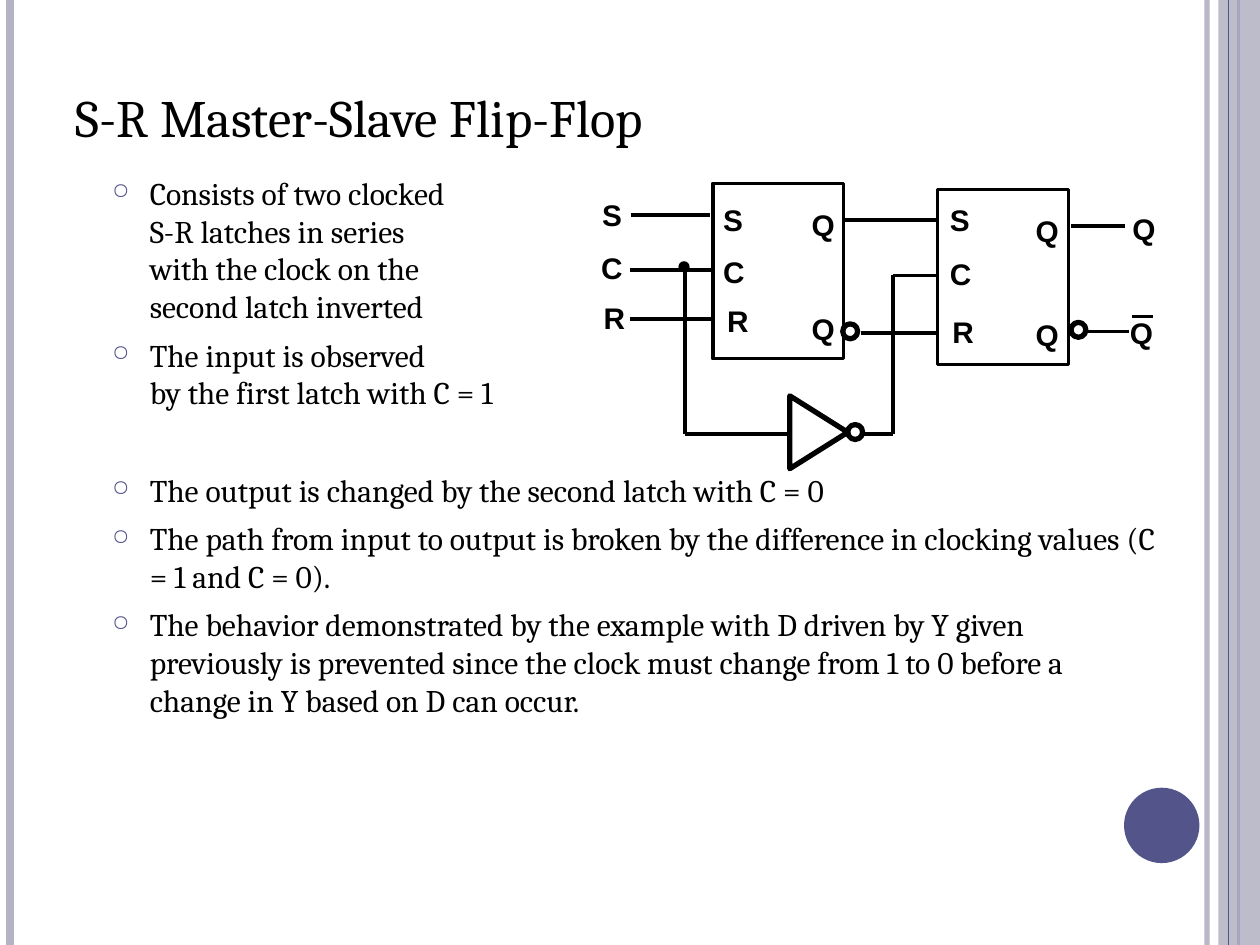
from itertools import pairwise

from lxml.etree import SubElement
from pptx import Presentation
from pptx.dml.color import RGBColor
from pptx.enum.shapes import MSO_CONNECTOR as CONN, MSO_SHAPE as SHAPE
from pptx.enum.text import MSO_ANCHOR as ANCHOR, MSO_AUTO_SIZE as FIT
from pptx.oxml.ns import qn
from pptx.util import Cm, Pt

COLORS = {"ink": "000000", "indigo": "53548A", "lavender": "B3B3C4"}

BULLETS = [
    ("Consists of two clocked\vS-R latches in series\vwith the clock on the\v"
     "second latch inverted", 6),
    ("The input is observed\vby the first latch with C = 1", 6),
    ("The output is changed by the second latch with C = 0", 34),
    ("The path from input to output is broken by the difference in clocking "
     "values (C = 1 and C = 0).", 6),
    ("The behavior demonstrated by the example with D driven by Y given "
     "previously is prevented since the clock must change from 1 to 0 before "
     "a change in Y based on D can occur.", 6),
]

LETTER_WIDTHS = {"S": 0.33, "C": 0.38, "R": 0.41, "Q": 0.48}

LABELS = {
    "S": [(12.14, 3.96), (14.58, 4.06), (19.15, 4.06)],
    "C": [(12.12, 5.03), (14.58, 5.11), (19.15, 5.16)],
    "R": [(12.17, 6.05), (14.66, 6.1), (19.2, 6.32)],
    "Q": [(16.36, 4.17), (16.36, 6.27), (20.88, 4.29), (20.88, 6.38),
          (22.83, 4.24), (22.78, 6.35)],
}

WIRES = [
    [(12.73, 4.33), (14.31, 4.33)],
    [(12.7, 5.44), (14.36, 5.44)],
    [(12.7, 6.43), (14.36, 6.43)],
    [(17, 4.43), (18.88, 4.43)],
    [(21.59, 4.56), (22.68, 4.56)],
    [(13.81, 5.44), (13.81, 8.75), (15.9, 8.75)],
    [(17.4, 8.75), (18, 8.75), (18, 5.55), (18.88, 5.55)],
    [(17.35, 6.71), (18.9, 6.71)],
    [(21.92, 6.68), (22.76, 6.68)],
    [(22.83, 6.38), (23.24, 6.38)],
]

LATCHES = [(14.37, 3.7), (18.9, 3.82)]
BUBBLES = [(17.09, 8.56), (16.99, 6.53), (21.59, 6.5)]


def rgb(name):
    """Return the named colour."""
    return RGBColor.from_string(COLORS[name])


def set_alpha(fill, percent):
    """Make a solid fill partly transparent."""
    clr = fill._xPr.find(qn("a:solidFill"))[0]
    SubElement(clr, qn("a:alpha"), val=str(percent * 1000))


def write(p, text, size=18, font="Cambria", bold=False, color="ink", before=0):
    """Put formatted text in a paragraph."""
    p.text = text
    p.space_before = Pt(before)
    for r in p.runs:
        r.font.size, r.font.name, r.font.bold = Pt(size), font, bold
        r.font.color.rgb = rgb(color)


def add_bullet(p):
    """Give a paragraph a small ring bullet and a hanging indent."""
    pPr = p._p.get_or_add_pPr()
    pPr.set("marL", str(Cm(0.76)))
    pPr.set("indent", str(Cm(-0.76)))
    clr = SubElement(pPr, qn("a:buClr"))
    SubElement(clr, qn("a:srgbClr"), val=COLORS["indigo"])
    SubElement(pPr, qn("a:buSzPct"), val="70000")
    SubElement(pPr, qn("a:buChar"), char="○")


class Canvas:
    """Hold the style and the current slide."""

    def __init__(self, slide, wire_width=2):
        """Keep the slide and the usual wire width."""
        self.shapes = slide.shapes
        self.wire_width = wire_width

    def line(self, start, end, color="ink", width=None, alpha=None):
        """Draw a straight line between two points."""
        s = self.shapes.add_connector(CONN.STRAIGHT, *map(Cm, (*start, *end)))
        s.line.color.rgb = rgb(color)
        s.line.width = Pt(width or self.wire_width)
        if alpha:
            set_alpha(s.line.fill, alpha)
        SubElement(s._element.spPr, qn("a:effectLst"))

    def wire(self, points):
        """Draw a wire through the points."""
        for start, end in pairwise(points):
            self.line(start, end)

    def shape(self, kind, x, y, w, h, fill=None, line=None, width=3,
              alpha=None, rotation=0):
        """Draw a preset shape."""
        s = self.shapes.add_shape(kind, *map(Cm, (x, y, w, h)))
        s.shadow.inherit = False
        s.rotation = rotation
        if fill:
            s.fill.solid()
            s.fill.fore_color.rgb = rgb(fill)
            if alpha:
                set_alpha(s.fill, alpha)
        else:
            s.fill.background()
        if line:
            s.line.color.rgb = rgb(line)
            s.line.width = Pt(width)
        else:
            s.line.fill.background()

    def frame(self, x, y, w, h):
        """Add a wrapping text box and return its text frame."""
        tf = self.shapes.add_textbox(*map(Cm, (x, y, w, h))).text_frame
        tf.word_wrap = True
        return tf

    def title(self, text):
        """Add the slide title."""
        tf = self.frame(1.27, 0.76, 20.75, 3.18)
        tf.vertical_anchor = ANCHOR.MIDDLE
        write(tf.paragraphs[0], text, size=30)

    def bullets(self, items):
        """Add the bulleted body text."""
        tf = self.frame(2.01, 3.38, 21.59, 13.97)
        for i, (text, before) in enumerate(items):
            p = tf.add_paragraph() if i else tf.paragraphs[0]
            write(p, text, before=before)
            add_bullet(p)

    def label(self, letter, x, y):
        """Add a one-letter pin label."""
        tf = self.frame(x, y, LETTER_WIDTHS[letter], 0.71)
        tf.margin_left = tf.margin_right = tf.margin_top = tf.margin_bottom = 0
        tf.word_wrap = False
        tf.auto_size = FIT.SHAPE_TO_FIT_TEXT
        write(tf.paragraphs[0], letter, size=17, font="Arial", bold=True)

    def rule(self, x, color, width, alpha=None):
        """Draw a full-height decorative rule."""
        self.line((x, 0), (x, 19.05), color, width, alpha)

    def decoration(self):
        """Draw the side rules, the band and the disc."""
        self.rule(24.33, "lavender", 3, 93)
        self.rule(0.2, "lavender", 4.5)
        self.rule(24.97, "indigo", 1.5)
        self.shape(SHAPE.RECTANGLE, 24.56, 0, 0.84, 19.05, "lavender", alpha=87)
        self.rule(24.77, "indigo", 0.75)
        self.shape(SHAPE.OVAL, 22.66, 15.88, 1.52, 1.52, "indigo")

    def circuit(self):
        """Draw the two latches, their wiring and the inverter."""
        for points in WIRES:
            self.wire(points)
        for x, y in LATCHES:
            self.shape(SHAPE.RECTANGLE, x, y, 2.64, 3.53, line="ink", width=2)
        for letter, places in LABELS.items():
            for x, y in places:
                self.label(letter, x, y)
        self.shape(SHAPE.ISOSCELES_TRIANGLE, 15.77, 8.13, 1.47, 1.17,
                   line="ink", rotation=90)
        for x, y in BUBBLES:
            self.shape(SHAPE.OVAL, x, y, 0.3, 0.3, line="ink")
        self.shape(SHAPE.OVAL, 13.69, 5.28, 0.2, 0.2, "ink", "ink", 0.75)


def main():
    """Build and save the slide."""
    prs = Presentation()
    prs.slide_width, prs.slide_height = Cm(25.4), Cm(19.05)
    canvas = Canvas(prs.slides.add_slide(prs.slide_layouts[6]))
    canvas.decoration()
    canvas.bullets(BULLETS)
    canvas.circuit()
    canvas.title("S-R Master-Slave Flip-Flop")
    prs.save("out.pptx")


if __name__ == "__main__":
    main()
